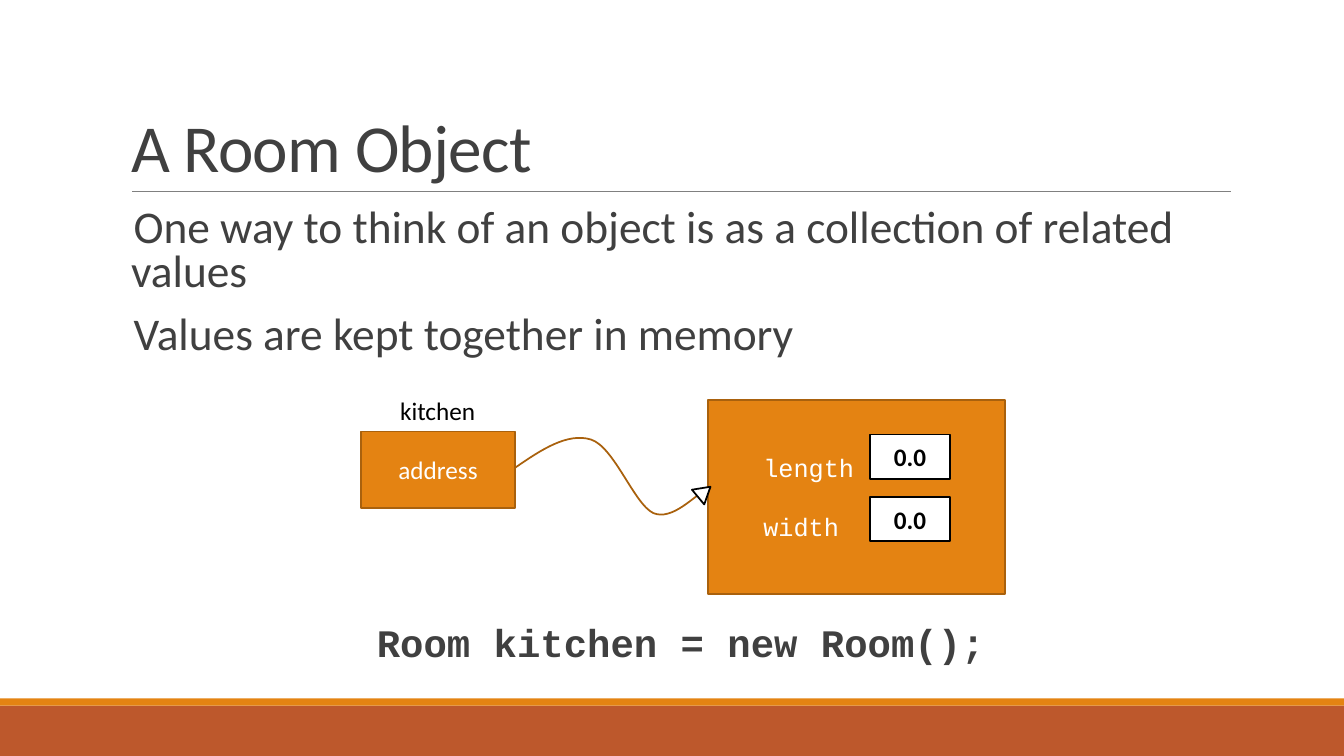
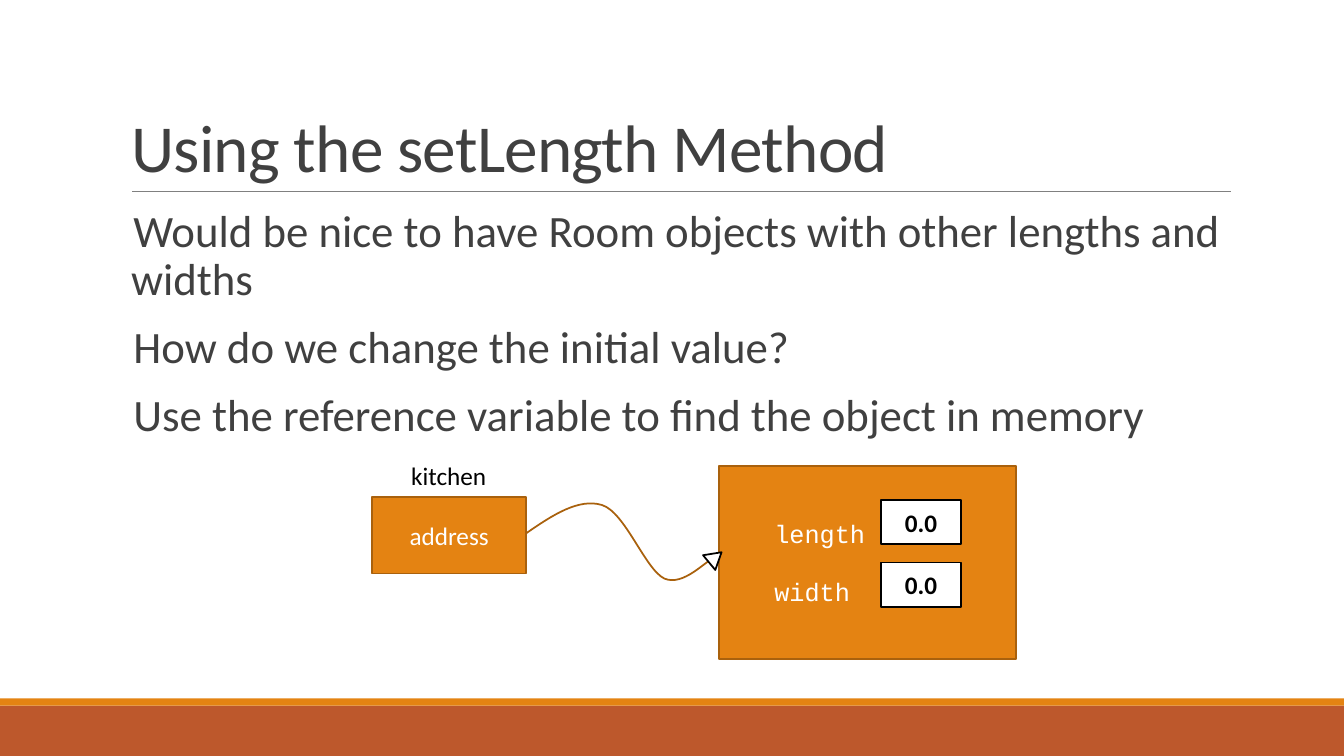
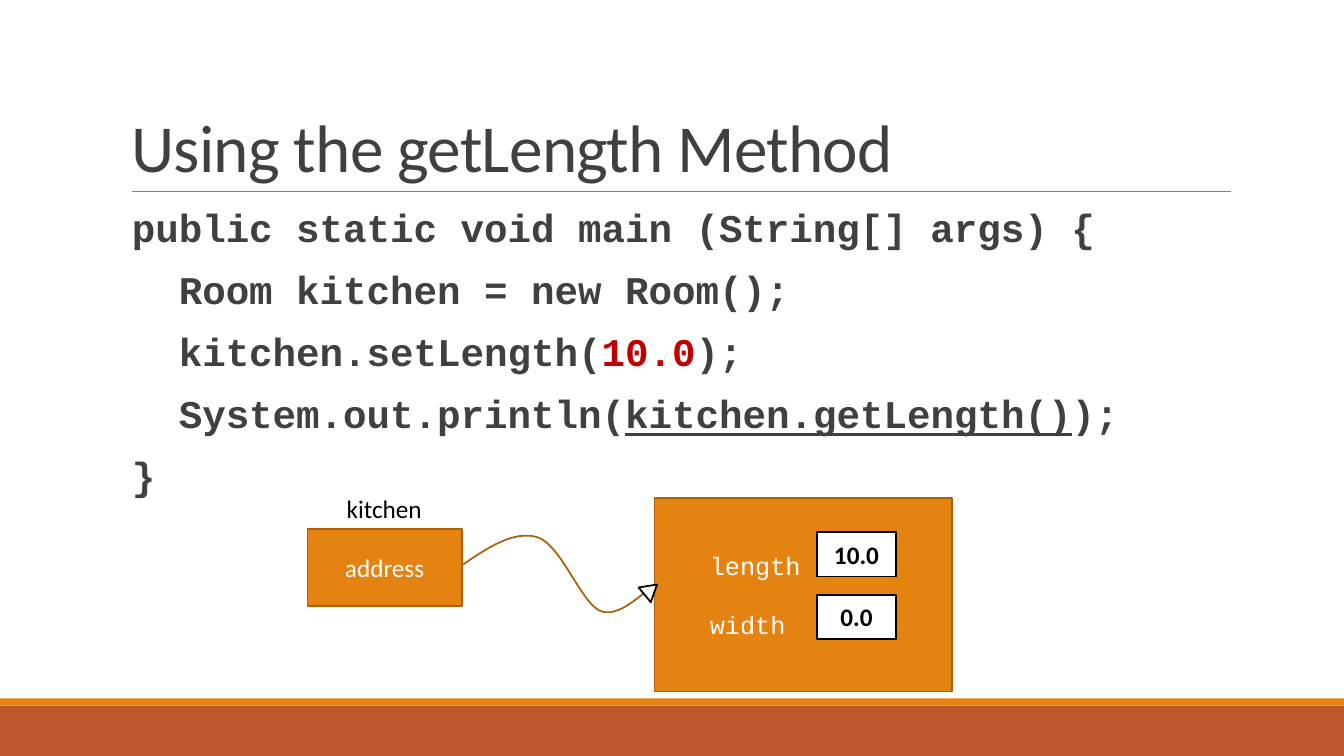
from lxml.etree import SubElement
from pptx import Presentation
from pptx.dml.color import RGBColor as RGB
from pptx.enum.shapes import MSO_CONNECTOR as Link, MSO_SHAPE as Kind
from pptx.enum.text import MSO_ANCHOR as Anchor, MSO_AUTO_SIZE as Fit, PP_ALIGN as Align
from pptx.oxml.ns import qn
from pptx.util import Inches, Pt

RUST = RGB(0xBD, 0x58, 0x2C)
ORANGE = RGB(0xE4, 0x83, 0x12)
BROWN = RGB(0xA9, 0x61, 0x0D)
GRAY = RGB(0x80, 0x80, 0x80)
DARK = RGB(0x40, 0x40, 0x40)
RED = RGB(0xC0, 0x00, 0x00)
WHITE = RGB(0xFF, 0xFF, 0xFF)
BLACK = RGB(0x00, 0x00, 0x00)
SANS = "Calibri"
MONO = "Courier New"
CURVE = [(1.53, 0.36), (1.79, 0.18), (2.05, 0.01), (2.28, 0.08), (2.51, 0.15),
         (2.71, 0.72), (2.9, 0.81), (3.09, 0.89), (3.31, 0.63), (3.4, 0.6)]


class Deck:
    """Hold the shared style and the current slide."""

    def __init__(self):
        self.prs = Presentation()
        self.prs.slide_width = Inches(13.33)
        self.prs.slide_height = Inches(7.5)

    def start(self, title):
        self.slide = self.prs.slides.add_slide(self.prs.slide_layouts[1])
        self.shapes = self.slide.shapes
        self.box(0, 7, 13.33, 0.5, RUST)
        self.box(0, 6.93, 13.33, 0.07, ORANGE)
        self.rule(1.31, 12.21, 1.9)
        head = self.slide.shapes.title
        self.place(head, 1.2, 0.31, 11, 1.59)
        frame = head.text_frame
        frame.text = title
        frame.auto_size = Fit.NONE
        frame.vertical_anchor = Anchor.BOTTOM
        para = frame.paragraphs[0]
        para.alignment = Align.LEFT
        para.line_spacing = 0.85
        self.ink(para, 48, DARK)
        para.runs[0].font._element.set("spc", "-50")

    def place(self, shape, x, y, w, h):
        shape.left, shape.top = Inches(x), Inches(y)
        shape.width, shape.height = Inches(w), Inches(h)

    def ink(self, para, size, color, name=SANS, bold=False):
        for run in para.runs:
            font = run.font
            font.size, font.name, font.bold = Pt(size), name, bold
            font.color.rgb = color

    def look(self, shape, fill=None, edge=None):
        shape.shadow.inherit = False
        if fill is None:
            shape.fill.background()
        else:
            shape.fill.solid()
            shape.fill.fore_color.rgb = fill
        if edge is None:
            shape.line.fill.background()
        else:
            shape.line.color.rgb = edge
            shape.line.width = Pt(1.25)

    def box(self, x, y, w, h, fill, edge=None, kind=Kind.RECTANGLE):
        shape = self.shapes.add_shape(kind, Inches(x), Inches(y), Inches(w), Inches(h))
        self.look(shape, fill, edge)
        return shape

    def label(self, shape, text, color, name=SANS, bold=False, align=Align.CENTER):
        frame = shape.text_frame
        frame.text = text
        frame.vertical_anchor = Anchor.MIDDLE
        for para in frame.paragraphs:
            para.alignment = align
            self.ink(para, 18, color, name, bold)
        return frame

    def rule(self, left, right, y):
        line = self.shapes.add_connector(
            Link.STRAIGHT, Inches(left), Inches(y), Inches(right), Inches(y))
        line.line.color.rgb = GRAY
        line.line.width = Pt(0.5)
        SubElement(line._element.spPr, qn("a:effectLst"))

    def body(self, rows, size, space=0.9, name=SANS, bold=False):
        shape = self.slide.placeholders[1]
        self.place(shape, 1.2, 2.02, 11, 4.4)
        frame = shape.text_frame
        frame.auto_size = Fit.NONE
        frame.margin_left = frame.margin_right = 0
        frame.text = "\n".join(row.replace("|", "") for row in rows)
        for num, (para, row) in enumerate(zip(frame.paragraphs, rows)):
            prop = para._p.get_or_add_pPr()
            prop.set("marL", str(Inches(0.1)))
            prop.set("indent", str(-Inches(0.1)))
            tint = SubElement(prop, qn("a:buClr"))
            SubElement(tint, qn("a:srgbClr")).set("val", str(ORANGE))
            SubElement(prop, qn("a:buChar")).set("char", " ")
            para.line_spacing = space
            para.space_before = Pt(12 if num else 0)
            para.space_after = Pt(2)
            first, *rest = row.split("|")
            para.runs[0].text = first
            for part in rest:
                para.add_run().text = part
            self.ink(para, size, DARK, name, bold)
        return frame.paragraphs

    def curve(self, x, y):
        first, *rest = [(Inches(x + dx), Inches(y + dy)) for dx, dy in CURVE]
        maker = self.shapes.build_freeform(*first)
        maker.add_line_segments(rest, close=False)
        shape = maker.convert_to_shape()
        self.look(shape, edge=BROWN)
        geom = shape._element.xpath(".//a:path")[0]
        steps = geom.findall(qn("a:lnTo"))
        for num in range(0, len(steps), 3):
            bend = SubElement(geom, qn("a:cubicBezTo"))
            for step in steps[num:num + 3]:
                bend.append(step[0])
                geom.remove(step)

    def memory(self, x, y, values):
        self.shapes = self.slide.shapes.add_group_shape().shapes
        ref = self.box(x, y, 1.53, 0.76, ORANGE, BROWN)
        self.label(ref, "address", WHITE)
        room = self.box(x + 3.44, y - 0.31, 2.95, 1.92, ORANGE, BROWN)
        frame = self.label(room, "length\nwidth", WHITE, MONO, align=Align.LEFT)
        frame.margin_left = Inches(0.55)
        frame.paragraphs[1].space_before = Pt(20.4)
        for num, value in enumerate(values):
            cell = self.box(x + 5.05, y + 0.03 + 0.62 * num, 0.79, 0.44, WHITE, BLACK)
            self.label(cell, value, BLACK, bold=True)
        self.curve(x, y)
        tip = self.box(x + 3.31, y + 0.52, 0.19, 0.16, WHITE, BLACK, Kind.ISOSCELES_TRIANGLE)
        tip.rotation = 50.1
        name = self.shapes.add_textbox(
            Inches(x + 0.29), Inches(y - 0.41), Inches(0.95), Inches(0.4))
        frame = self.label(name, "kitchen", BLACK, align=Align.LEFT)
        frame.word_wrap = False
        frame.auto_size = Fit.SHAPE_TO_FIT_TEXT


def main():
    deck = Deck()

    deck.start("A Room Object")
    code = deck.body([
        "One way to think of an object is as a collection of related values",
        "Values are kept together in memory",
        "Room kitchen = new Room();",
    ], 32.4, 0.8)[-1]
    code.alignment = Align.CENTER
    code.space_before = Pt(190)
    deck.ink(code, 27.8, DARK, MONO, True)
    deck.memory(3.58, 4.28, ["0.0", "0.0"])

    deck.start("Using the setLength Method")
    deck.body([
        "Would be nice to have Room objects with other lengths and widths",
        "How do we change the initial value?",
        "Use the reference variable to find the object in memory",
    ], 32)
    deck.memory(3.69, 4.93, ["0.0", "0.0"])

    deck.start("Using the getLength Method")
    code = deck.body([
        "public static void main (String[] args) {",
        "  Room kitchen = new Room();",
        "  kitchen.setLength(|10.0|);",
        "  System.out.println(|kitchen.getLength()|);",
        "}",
    ], 28, name=MONO, bold=True)
    code[2].runs[1].font.color.rgb = RED
    code[3].runs[1].font.underline = True
    deck.memory(3.05, 5.25, ["10.0", "0.0"])

    deck.prs.save("out.pptx")


if __name__ == "__main__":
    main()
